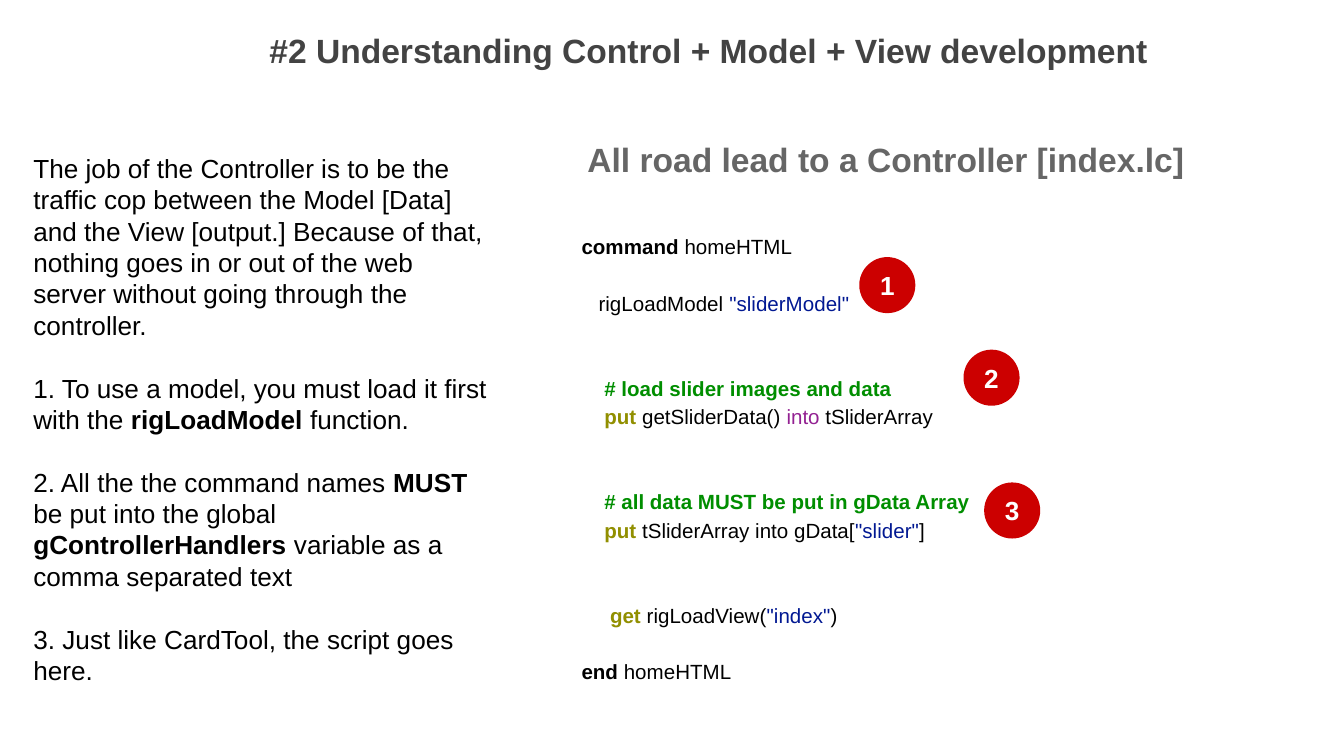
from pptx import Presentation
from pptx.dml.color import RGBColor
from pptx.enum.shapes import MSO_SHAPE
from pptx.enum.text import MSO_ANCHOR, MSO_AUTO_SIZE, PP_ALIGN
from pptx.oxml.ns import qn
from pptx.util import Cm, Pt

CENTER, LEFT = PP_ALIGN.CENTER, PP_ALIGN.LEFT
TOP, MIDDLE = MSO_ANCHOR.TOP, MSO_ANCHOR.MIDDLE
NO_FIT = MSO_AUTO_SIZE.NONE
OVAL = MSO_SHAPE.OVAL

FONT = "Arial"
BLACK, WHITE, RED = "000000", "FFFFFF", "CC0000"
DARK_GRAY, GRAY = "434343", "666666"
BLUE, GREEN, OLIVE, PURPLE = "011892", "008E00", "918F00", "932192"
LINE_RATIO = 1.2
CODE_SPACING = 1.15
BADGE_SIZE = 1.06

EXPLANATION = [
    (0, [("The job of the Controller is to be the traffic cop between the Model [Data] "
          "and the View [output.] Because of that, nothing goes in or out of the web "
          "server without going through the controller.", BLACK, False)]),
    (1, [("1. To use a model, you must load it first with the ", BLACK, False),
         ("rigLoadModel", BLACK, True), (" function.", BLACK, False)]),
    (1, [("2. All the the command names ", BLACK, False), ("MUST", BLACK, True),
         (" be put into the global ", BLACK, False),
         ("gControllerHandlers", BLACK, True),
         (" variable as a comma separated text", BLACK, False)]),
    (1, [("3. Just like CardTool, the script goes here.", BLACK, False)]),
]

CODE = [
    (0, [("command", BLACK, True), (" homeHTML", BLACK, False)]),
    (1, [("   rigLoadModel ", BLACK, False), ('"sliderModel"', BLUE, False)]),
    (2, [("    # load slider images and data", GREEN, True)]),
    (0, [("    put", OLIVE, True), (" getSliderData() ", BLACK, False),
         ("into", PURPLE, False), (" tSliderArray", BLACK, False)]),
    (2, [("    # all data MUST be put in gData Array", GREEN, True)]),
    (0, [("    put", OLIVE, True), (" tSliderArray into gData[", BLACK, False),
         ('"slider"', BLUE, False), ("]", BLACK, False)]),
    (2, [("     get", OLIVE, True), (" rigLoadView(", BLACK, False),
         ('"index"', BLUE, False), (")", BLACK, False)]),
    (1, [("end", BLACK, True), (" homeHTML", BLACK, False)]),
]

BADGES = [("1", 16.24, 4.86), ("2", 18.21, 6.61), ("3", 18.6, 9.12)]


def color(value):
    """Turn a hex string into a colour."""
    return RGBColor.from_string(value)


def prepare_frame(shape, box, anchor):
    """Place a shape in its box and return its text frame with even margins."""
    shape.left, shape.top, shape.width, shape.height = (Cm(length) for length in box)
    frame = shape.text_frame
    frame.word_wrap = True
    frame.auto_size = NO_FIT
    frame.vertical_anchor = anchor
    frame.margin_left = frame.margin_right = Cm(0.25)
    frame.margin_top = frame.margin_bottom = Cm(0.25)
    return frame


def write_label(shape, box, text, size, tint, anchor):
    """Write one centred bold line in a shape."""
    para = prepare_frame(shape, box, anchor).paragraphs[0]
    para.text = text
    para.alignment = CENTER
    para.space_before = Pt(0)
    para.font.name, para.font.size, para.font.bold = FONT, Pt(size), True
    para.font.color.rgb = color(tint)


def write_passage(shape, box, lines, size, spacing):
    """Write styled lines, each set off by a number of line heights."""
    frame = prepare_frame(shape, box, TOP)
    for index, (gap, spans) in enumerate(lines):
        para = frame.paragraphs[0] if index == 0 else frame.add_paragraph()
        para.alignment = LEFT
        para.line_spacing = spacing
        para.space_before = Pt(round(gap * size * LINE_RATIO * spacing, 1))
        properties = para._p.get_or_add_pPr()
        properties.set("marL", "0")
        properties.set("indent", "0")
        properties.append(properties.makeelement(qn("a:buNone"), {}))
        para.font.name, para.font.size = FONT, Pt(size)
        for text, tint, bold in spans:
            span = para.add_run()
            span.text = text
            span.font.bold = bold
            span.font.color.rgb = color(tint)


def add_badge(page, number, left, top):
    """Add a red numbered circle."""
    box = (left, top, BADGE_SIZE, BADGE_SIZE)
    badge = page.shapes.add_shape(OVAL, *(Cm(length) for length in box))
    badge.shadow.inherit = False
    badge.fill.solid()
    badge.fill.fore_color.rgb = color(RED)
    badge.line.fill.background()
    write_label(badge, box, number, 14, WHITE, MIDDLE)
    badge.text_frame.word_wrap = False


def build_page(deck):
    """Build the page with an explanation beside a numbered code listing."""
    page = deck.slides.add_slide(deck.slide_layouts.get_by_name("Comparison"))
    title, heading, explanation, spare, code = page.placeholders
    spare.element.getparent().remove(spare.element)
    write_label(title, (1.95, 0.32, 22.89, 1.8),
                "#2 Understanding Control + Model + View development", 18, DARK_GRAY, TOP)
    write_label(heading, (10.41, 2.37, 12.67, 1.47),
                "All road lead to a Controller [index.lc]", 18, GRAY, TOP)
    write_passage(explanation, (0.38, 2.63, 9.17, 11), EXPLANATION, 14, 1.0)
    write_passage(code, (10.74, 4.11, 14.1, 10.41), CODE, 11, CODE_SPACING)
    for number, left, top in BADGES:
        add_badge(page, number, left, top)


def main():
    """Create and save the deck."""
    deck = Presentation()
    deck.slide_width, deck.slide_height = Cm(25.4), Cm(14.29)
    build_page(deck)
    deck.save("out.pptx")


if __name__ == "__main__":
    main()
